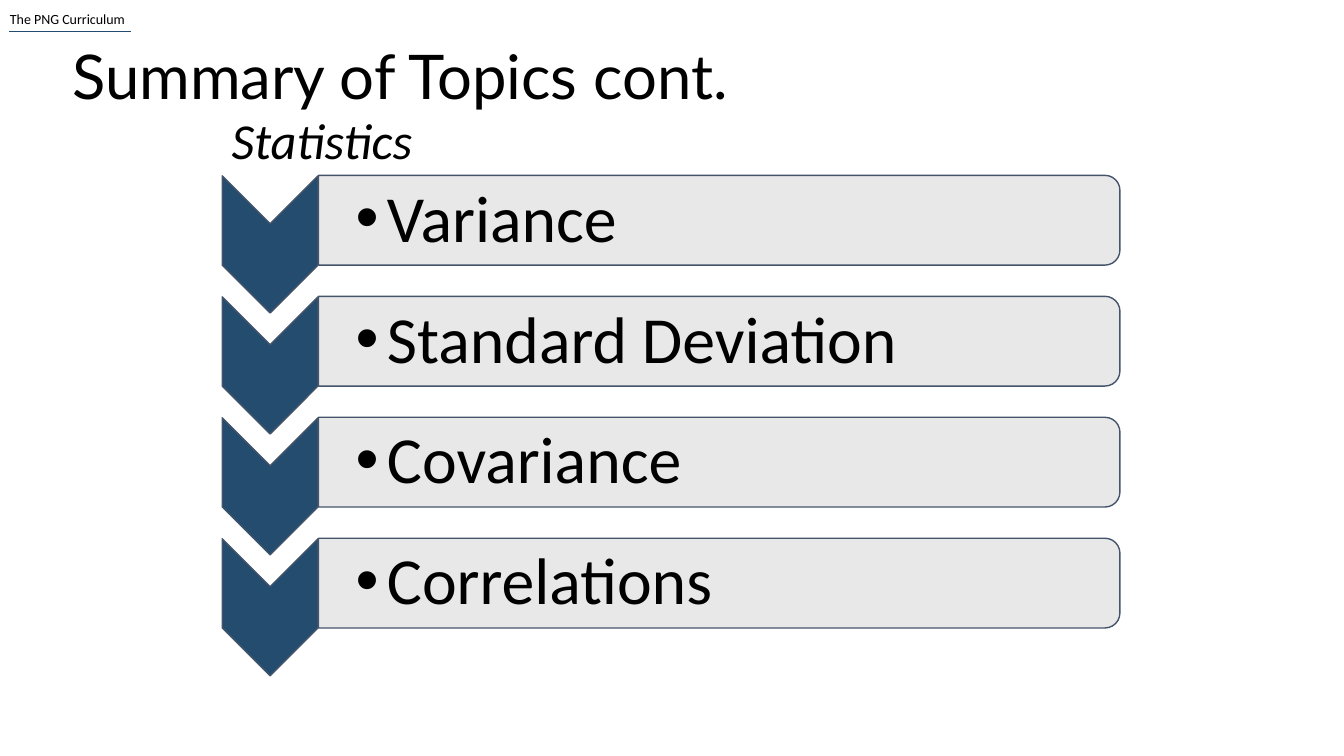
from lxml import etree
from pptx import Presentation
from pptx.dml.color import RGBColor
from pptx.enum.shapes import MSO_CONNECTOR, MSO_SHAPE
from pptx.enum.text import MSO_ANCHOR
from pptx.oxml.ns import qn
from pptx.util import Pt

STRAIGHT = MSO_CONNECTOR.STRAIGHT
CHEVRON = MSO_SHAPE.CHEVRON
BAR = MSO_SHAPE.ROUND_2_SAME_RECTANGLE
TOP = MSO_ANCHOR.TOP
MIDDLE = MSO_ANCHOR.MIDDLE

COLORS = {
    "text": "000000",
    "rule": "244C70",
    "chevron": "244C6F",
    "bar": "E7E6E6",
    "outline": "44546A",
}
TOPICS = ["Variance", "Standard Deviation", "Covariance", "Correlations"]
ROW_STEP = 86.4


def add_text(words, left, top, width, height, size, font="Calibri", anchor=TOP):
    box = page.shapes.add_textbox(Pt(left), Pt(top), Pt(width), Pt(height))
    box.text_frame.word_wrap = True
    box.text_frame.vertical_anchor = anchor
    para = box.text_frame.paragraphs[0]
    span = para.add_run()
    span.text = words
    span.font.name = font
    span.font.size = Pt(size)
    span.font.color.rgb = RGBColor.from_string(COLORS["text"])
    return box, para, span


def add_turned_shape(kind, left, top, width, height, color):
    shape = page.shapes.add_shape(kind, Pt(left), Pt(top), Pt(width), Pt(height))
    shape.rotation = 90
    shape.shadow.inherit = False
    shape.fill.solid()
    shape.fill.fore_color.rgb = RGBColor.from_string(COLORS[color])
    shape.line.color.rgb = RGBColor.from_string(COLORS["outline"])
    shape.line.width = Pt(1)
    return shape


deck = Presentation()
deck.slide_width = Pt(960)
deck.slide_height = Pt(540)
page = deck.slides.add_slide(deck.slide_layouts[6])

add_text("The PNG Curriculum", 0, 4.3, 286.6, 19.4, 10)
rule = page.shapes.add_connector(STRAIGHT, Pt(6.5), Pt(22.3), Pt(93.6), Pt(22.3))
rule.line.color.rgb = RGBColor.from_string(COLORS["rule"])
rule.line.width = Pt(0.5)
etree.SubElement(rule.element.spPr, qn("a:effectLst"))

for row, topic in enumerate(TOPICS):
    shift = row * ROW_STEP
    add_turned_shape(CHEVRON, 144, 140.4 + shift, 97.9, 68.4, "chevron")
    bar = add_turned_shape(BAR, 481.7, shift - 128.9, 64.1, 572.4, "bar")
    bar_color = bar.element.spPr.find(qn("a:solidFill")).find(qn("a:srgbClr"))
    etree.SubElement(bar_color, qn("a:alpha"), val="90000")

    box, para, span = add_text(topic, 227.5, 128.9 + shift, 569.5, 57.6, 47, anchor=MIDDLE)
    frame = box.text_frame
    frame.margin_left = Pt(26.6)
    frame.margin_right = frame.margin_top = frame.margin_bottom = Pt(2.2)
    para.line_spacing = 0.9
    layout = para._p.get_or_add_pPr()
    layout.set("marL", str(Pt(22.3)))
    layout.set("indent", str(-Pt(22.3)))
    etree.SubElement(layout, qn("a:buFont"), typeface="Arial")
    etree.SubElement(layout, qn("a:buChar"), char="•")

box, para, span = add_text("Summary of Topics cont.", 44.6, 20.9, 828, 72, 44, "Lato", MIDDLE)
para.line_spacing = 0.9

box, para, span = add_text("Statistics", 158.4, 74.2, 495.4, 51.1, 36)
span.font.italic = True

deck.save("out.pptx")
